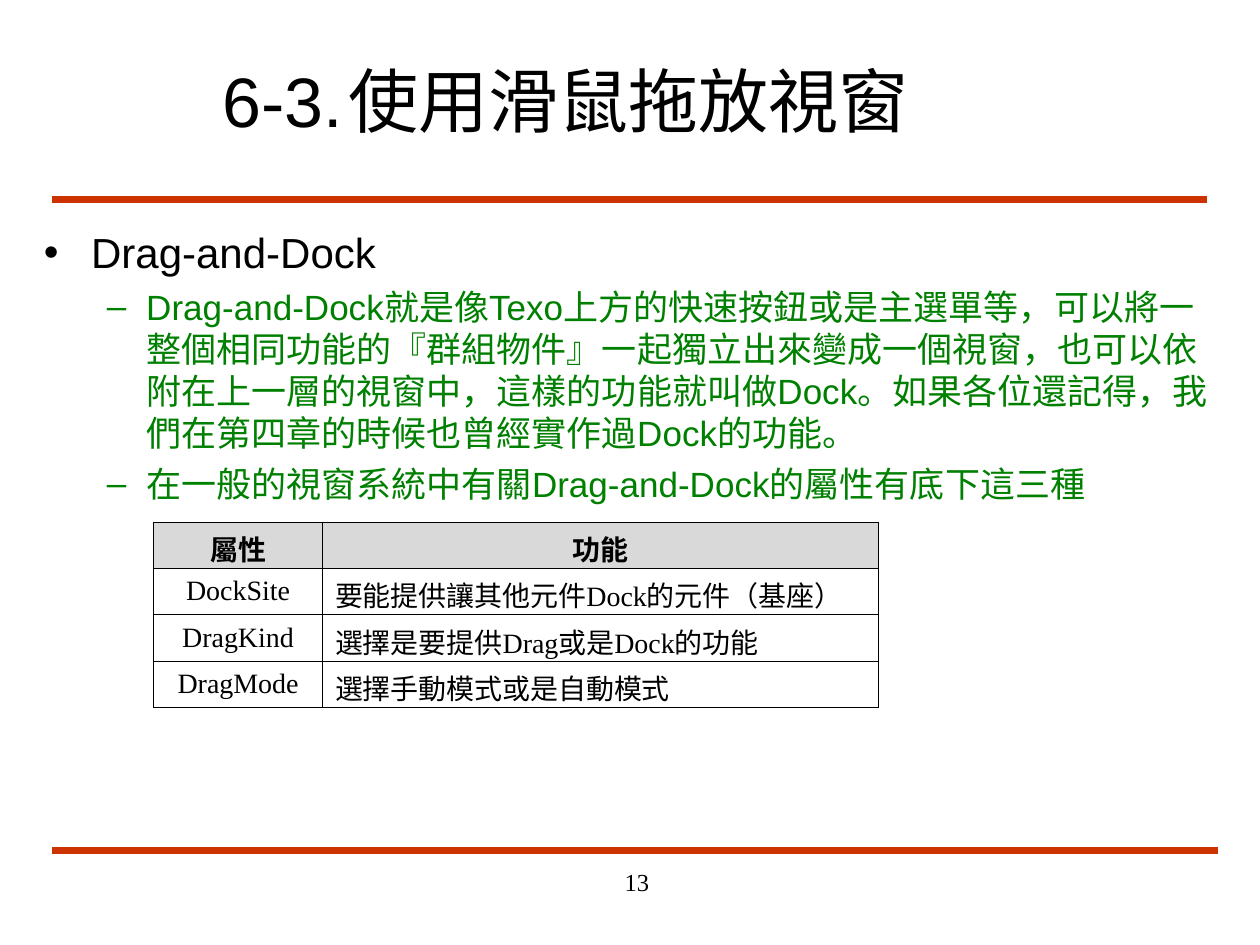
from lxml import etree
from pptx import Presentation
from pptx.dml.color import RGBColor
from pptx.enum import shapes, text
from pptx.oxml.ns import qn
from pptx.util import Pt

BLACK = RGBColor(0, 0, 0)
GREEN = RGBColor(0, 0x80, 0)
RED = RGBColor(0xCC, 0x33, 0)
GRAY = RGBColor(0xD9, 0xD9, 0xD9)
CJK_FONT = "Noto Sans CJK SC"


def add_element(parent, tag, **attributes):
    return etree.SubElement(parent, qn(tag), attributes)


def write(paragraph, words, color=BLACK, **formats):
    run = paragraph.add_run()
    run.text = words
    for name, value in formats.items():
        setattr(run.font, name, value)
    run.font.color.rgb = color
    add_element(run.font._element, "a:ea", typeface=CJK_FONT)


presentation = Presentation()
presentation.slide_width, presentation.slide_height = Pt(720), Pt(540)
slide = presentation.slides.add_slide(presentation.slide_layouts[5])

for right, y in ((690, 114), (696, 486)):
    rule = slide.shapes.add_connector(
        shapes.MSO_CONNECTOR.STRAIGHT, Pt(30), Pt(y), Pt(right), Pt(y))
    rule.line.color.rgb = RED
    rule.line.width = Pt(4.5)
    add_element(rule._element.spPr, "a:effectLst")

title = slide.shapes.title
title_box = {"left": Pt(120), "top": Pt(24), "width": Pt(546), "height": Pt(66)}
for name, value in title_box.items():
    setattr(title, name, value)
title_frame = title.text_frame
frame_format = {"auto_size": text.MSO_AUTO_SIZE.NONE, "word_wrap": True,
                "vertical_anchor": text.MSO_ANCHOR.MIDDLE}
for name, value in frame_format.items():
    setattr(title_frame, name, value)
paragraph = title_frame.paragraphs[0]
paragraph.alignment = text.PP_ALIGN.LEFT
tabs = add_element(paragraph._p.get_or_add_pPr(), "a:tabLst")
add_element(tabs, "a:tab", pos=str(Pt(72)), algn="l")
write(paragraph, "6-3.\t使用滑鼠拖放視窗", size=Pt(40), name="Arial")

body = slide.shapes.add_textbox(Pt(18), Pt(126), Pt(684), Pt(348)).text_frame
body.word_wrap = True
levels = [
    {"bullet": "•", "margin": 27, "hanging": 27, "before": 6, "size": 24, "color": BLACK},
    {"bullet": "–", "margin": 58.5, "hanging": 22.5, "before": 5, "size": 20, "color": GREEN},
]
points = [
    (0, "Drag-and-Dock"),
    (1, "Drag-and-Dock就是像Texo上方的快速按鈕或是主選單等，可以將一整個相同功能的"
        "『群組物件』一起獨立出來變成一個視窗，也可以依附在上一層的視窗中，"
        "這樣的功能就叫做Dock。如果各位還記得，我們在第四章的時候也曾經實作過Dock的功能。"),
    (1, "在一般的視窗系統中有關Drag-and-Dock的屬性有底下這三種"),
]
for index, (level, words) in enumerate(points):
    style = levels[level]
    paragraph = body.add_paragraph() if index else body.paragraphs[0]
    paragraph.level = level
    if index:
        paragraph.space_before = Pt(style["before"])
    properties = paragraph._p.get_or_add_pPr()
    properties.set("marL", str(Pt(style["margin"])))
    properties.set("indent", str(-Pt(style["hanging"])))
    bullet_color = add_element(properties, "a:buClr")
    add_element(bullet_color, "a:srgbClr", val=str(style["color"]))
    add_element(properties, "a:buFont", typeface="Arial")
    add_element(properties, "a:buChar", char=style["bullet"])
    write(paragraph, words, style["color"], size=Pt(style["size"]), name="Arial")

rows = [
    ("屬性", "功能"),
    ("DockSite", "要能提供讓其他元件Dock的元件（基座）"),
    ("DragKind", "選擇是要提供Drag或是Dock的功能"),
    ("DragMode", "選擇手動模式或是自動模式"),
]
row_height = 26.5
table = slide.shapes.add_table(
    len(rows), 2, Pt(87.8), Pt(298.2), Pt(414), Pt(row_height * len(rows))).table
table.first_row = table.horz_banding = False
for column, width in zip(table.columns, (96.5, 317.5)):
    column.width = Pt(width)
for row_index, row in enumerate(rows):
    table.rows[row_index].height = Pt(row_height)
    for column_index, words in enumerate(row):
        cell = table.cell(row_index, column_index)
        header, label = row_index == 0, column_index == 0
        properties = cell._tc.get_or_add_tcPr()
        for side in ("a:lnL", "a:lnR", "a:lnT", "a:lnB"):
            border = add_element(properties, side, w=str(Pt(0.45)))
            border_fill = add_element(border, "a:solidFill")
            add_element(border_fill, "a:srgbClr", val=str(BLACK))
        if header:
            cell.fill.solid()
            cell.fill.fore_color.rgb = GRAY
        else:
            cell.fill.background()
        middle = label and not header
        cell.vertical_anchor = text.MSO_ANCHOR.MIDDLE if middle else text.MSO_ANCHOR.TOP
        paragraph = cell.text_frame.paragraphs[0]
        paragraph.alignment = text.PP_ALIGN.CENTER if header or label else text.PP_ALIGN.LEFT
        write(paragraph, words, size=Pt(16), name="Times New Roman", bold=header)

page_number = slide.shapes.add_textbox(Pt(228), Pt(492), Pt(150), Pt(36)).text_frame
page_number.word_wrap = True
paragraph = page_number.paragraphs[0]
paragraph.alignment = text.PP_ALIGN.RIGHT
write(paragraph, "13", size=Pt(14), name="Times New Roman")

presentation.save("out.pptx")
